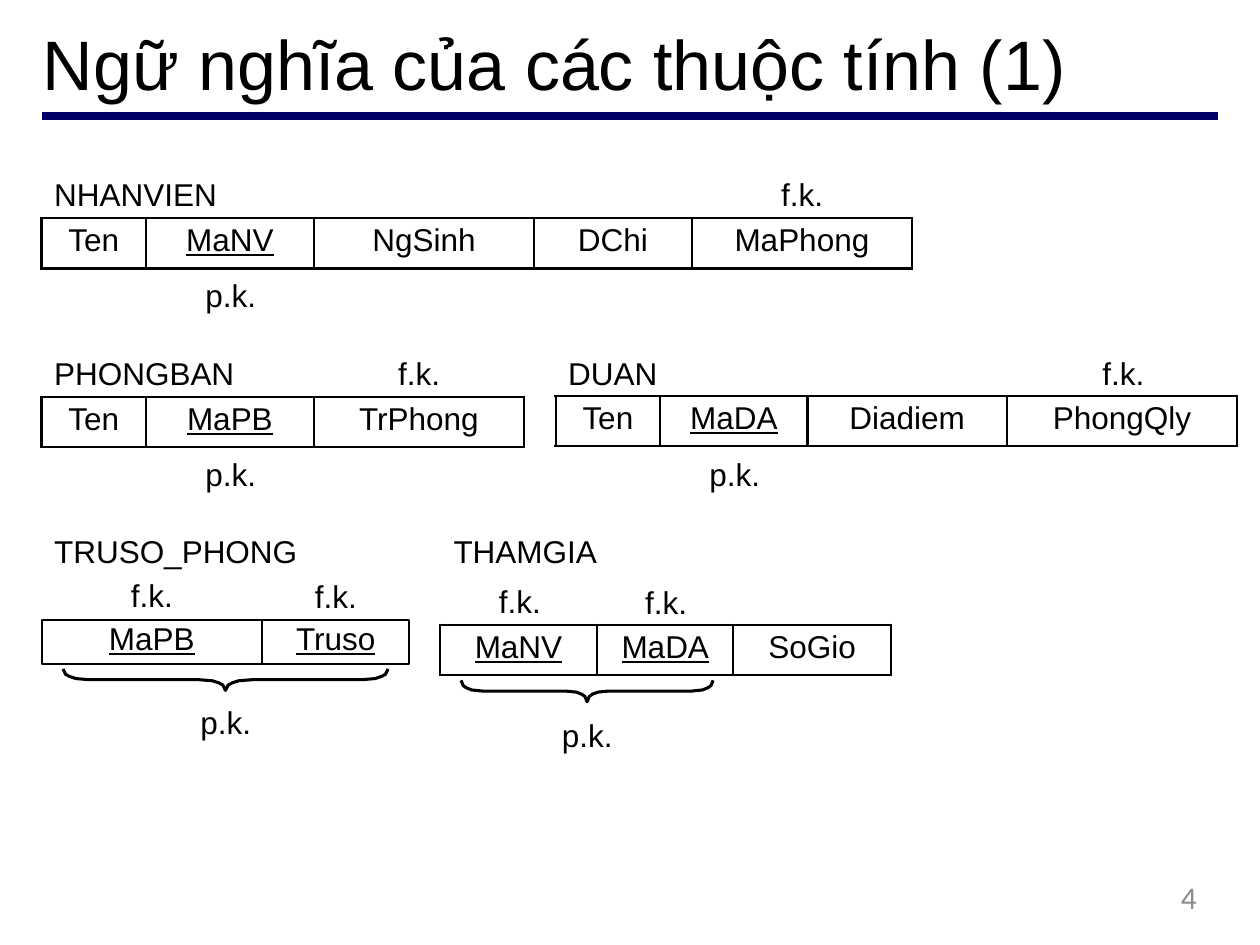
from dataclasses import dataclass

from lxml import etree
from pptx import Presentation
from pptx.dml.color import RGBColor
from pptx.enum.shapes import MSO_CONNECTOR, MSO_SHAPE
from pptx.enum.text import MSO_ANCHOR, MSO_AUTO_SIZE, PP_ALIGN
from pptx.oxml.ns import qn
from pptx.util import Inches, Pt

LEFT, CENTER, RIGHT = PP_ALIGN.LEFT, PP_ALIGN.CENTER, PP_ALIGN.RIGHT
TOP = MSO_ANCHOR.TOP
TITLE_ONLY = 5


@dataclass(frozen=True)
class Theme:
    ink: RGBColor = RGBColor(0x00, 0x00, 0x00)
    rule: RGBColor = RGBColor(0x00, 0x00, 0x66)
    muted: RGBColor = RGBColor(0x8C, 0x8C, 0x8C)
    font: str = "Arial"
    number_font: str = "Calibri"
    title_size: int = 40
    body_size: int = 18


THEME = Theme()
KEY_WIDTHS = {"p.k.": 0.43, "f.k.": 0.36}

# left, top, column widths, attribute names, underlined key attributes
RELATIONS = [
    (0.33, 1.73, [0.83, 1.33, 1.75, 1.25, 1.75],
     ["Ten", "MaNV", "NgSinh", "DChi", "MaPhong"], {"MaNV"}),
    (0.33, 3.15, [0.83, 1.33, 1.67], ["Ten", "MaPB", "TrPhong"], {"MaPB"}),
    (4.41, 3.14, [0.83, 1.17, 1.58, 1.83],
     ["Ten", "MaDA", "Diadiem", "PhongQly"], {"MaDA"}),
    (3.49, 4.96, [1.25, 1.08, 1.25],
     ["MaNV", "MaDA", "SoGio"], {"MaNV", "MaDA"}),
]
RELATION_NAMES = [
    ("NHANVIEN", 0.42, 1.36, 1.32),
    ("PHONGBAN", 0.42, 2.78, 1.46),
    ("DUAN", 4.5, 2.78, 0.74),
]
KEY_LABELS = [
    ("f.k.", 6.19, 1.36), ("p.k.", 1.62, 2.16),
    ("f.k.", 3.15, 2.78), ("p.k.", 1.62, 3.58),
    ("f.k.", 8.74, 2.78), ("p.k.", 5.62, 3.58),
    ("f.k.", 2.49, 4.55), ("p.k.", 1.58, 5.55),
    ("f.k.", 5.11, 4.6), ("p.k.", 4.45, 5.65),
]


def style(paragraph, size=THEME.body_size, color=THEME.ink, name=THEME.font,
          align=LEFT, underline=False):
    paragraph.alignment = align
    font = paragraph.font
    font.size, font.name, font.bold = Pt(size), name, False
    font.color.rgb = color
    font.underline = underline


def set_frame(frame, top_inset=0.0):
    frame.margin_left = frame.margin_right = frame.margin_bottom = 0
    frame.margin_top = Inches(top_inset)
    frame.vertical_anchor = TOP
    frame.auto_size = MSO_AUTO_SIZE.NONE


def add_title(slide, text):
    title = slide.shapes.title
    title.left, title.top = Inches(0.34), Inches(0.11)
    title.width, title.height = Inches(9.24), Inches(0.69)
    set_frame(title.text_frame, 0.05)
    title.text_frame.text = text
    style(title.text_frame.paragraphs[0], THEME.title_size)


def add_rule(slide):
    y = Inches(0.92)
    rule = slide.shapes.add_connector(
        MSO_CONNECTOR.STRAIGHT, Inches(0.33), y, Inches(9.67), y)
    rule.line.color.rgb, rule.line.width = THEME.rule, Pt(4.5)
    etree.SubElement(rule._element.spPr, qn("a:effectLst"))


def add_label(slide, text, left, top, width, height=0.33, inset=0.03, **look):
    box = slide.shapes.add_textbox(
        Inches(left), Inches(top), Inches(width), Inches(height))
    frame = box.text_frame
    set_frame(frame, inset)
    frame.text = text
    style(frame.paragraphs[0], **look)
    return frame


def add_name_with_key(slide, name, left, top, width, height, inset, indent, gap):
    """Add a relation name with a foreign-key mark on an indented second line."""
    frame = add_label(slide, name, left, top, width, height, inset)
    key = frame.add_paragraph()
    key.text = "f.k."
    key.space_before = Pt(gap)
    key._p.get_or_add_pPr().set("marL", str(Inches(indent)))
    style(key)


def set_borders(cell, width):
    properties = cell._tc.get_or_add_tcPr()
    for index, side in enumerate(("lnL", "lnR", "lnT", "lnB")):
        line = etree.Element(qn(f"a:{side}"), w=str(Pt(width)))
        fill = etree.SubElement(line, qn("a:solidFill"))
        etree.SubElement(fill, qn("a:srgbClr"), val=str(THEME.ink))
        properties.insert(index, line)


def add_relation(slide, left, top, widths, attributes, keys):
    table = slide.shapes.add_table(
        1, len(widths), Inches(left), Inches(top),
        Inches(sum(widths)), Inches(0.4)).table
    table.first_row = table.horz_banding = False
    for column, width in zip(table.columns, widths):
        column.width = Inches(width)
    for cell, attribute in zip(table.rows[0].cells, attributes):
        cell.margin_left = cell.margin_right = cell.margin_bottom = 0
        cell.margin_top = Inches(0.04)
        cell.text = attribute
        style(cell.text_frame.paragraphs[0], align=CENTER,
              underline=attribute in keys)
        cell.fill.background()
        set_borders(cell, 1.5)


def add_key_box(slide, text, left, width):
    box = slide.shapes.add_shape(
        MSO_SHAPE.RECTANGLE, Inches(left), Inches(4.92),
        Inches(width), Inches(0.35))
    box.shadow.inherit = False
    box.fill.background()
    box.line.color.rgb, box.line.width = THEME.ink, Pt(1.11)
    set_frame(box.text_frame)
    box.text_frame.text = text
    paragraph = box.text_frame.paragraphs[0]
    paragraph.line_spacing = Pt(21.1)
    style(paragraph, align=CENTER, underline=True)


def add_brace(slide, left, top, width, corner, height=0.17):
    """Draw a brace opening upwards, with its tip at the bottom centre."""
    bend = [(0, 0), (0.1, 0.25), (0.25, 0.35), (0.5, 0.45), (1, 0.5)]
    outer = [(x * corner, y * height) for x, y in bend]
    inner = [(width / 2 - x, height - y) for x, y in reversed(outer)]
    half = outer + inner
    points = half + [(width - x, y) for x, y in reversed(half[:-1])]
    places = [(Inches(left + x), Inches(top + y)) for x, y in points]
    builder = slide.shapes.build_freeform(*places[0])
    builder.add_line_segments(places[1:], close=False)
    brace = builder.convert_to_shape()
    brace.shadow.inherit = False
    brace.fill.background()
    brace.line.color.rgb, brace.line.width = THEME.ink, Pt(1.75)


def main():
    presentation = Presentation()
    presentation.slide_width, presentation.slide_height = Inches(10), Inches(7.5)
    slide = presentation.slides.add_slide(presentation.slide_layouts[TITLE_ONLY])

    add_rule(slide)
    add_title(slide, "Ngữ nghĩa của các thuộc tính (1)")
    for relation in RELATIONS:
        add_relation(slide, *relation)
    add_key_box(slide, "MaPB", 0.33, 1.75)
    add_key_box(slide, "Truso", 2.08, 1.17)
    for name, left, top, width in RELATION_NAMES:
        add_label(slide, name, left + 0.01, top, width)
    for key, left, top in KEY_LABELS:
        add_label(slide, key, left + 0.01, top, KEY_WIDTHS[key])
    add_name_with_key(slide, "TRUSO_PHONG", 0.43, 4.15, 1.96, 0.73,
                      inset=0.07, indent=0.61, gap=3.5)
    add_name_with_key(slide, "THAMGIA", 3.6, 4.1, 1.17, 0.83,
                      inset=0.12, indent=0.36, gap=7.2)
    add_brace(slide, 0.5, 5.31, 2.58, corner=0.21)
    add_brace(slide, 3.66, 5.4, 2, corner=0.17)
    add_label(slide, "4", 7.2, 6.97, 2.3, 0.38, inset=0, color=THEME.muted,
              name=THEME.number_font, align=RIGHT)

    presentation.save("out.pptx")


if __name__ == "__main__":
    main()
